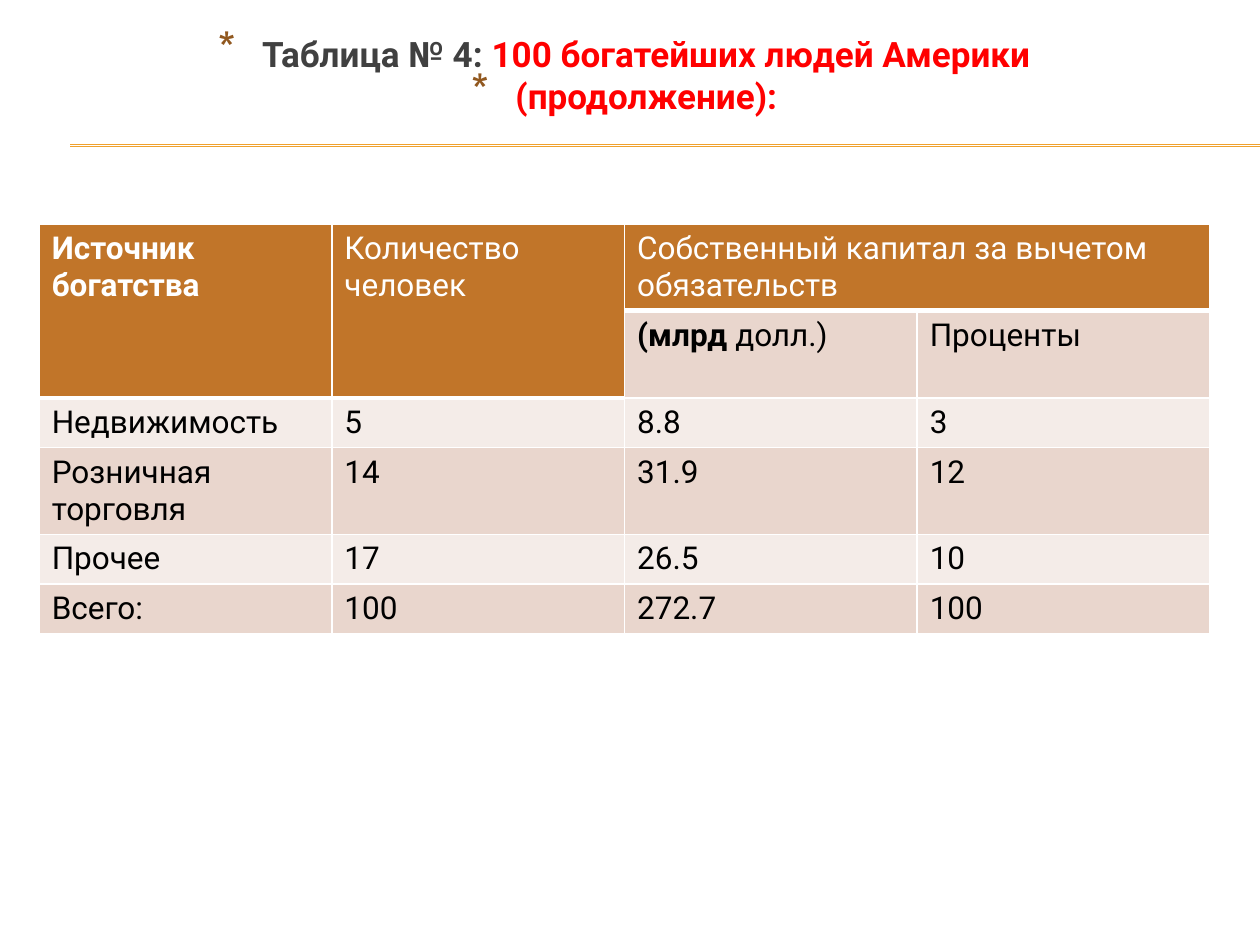
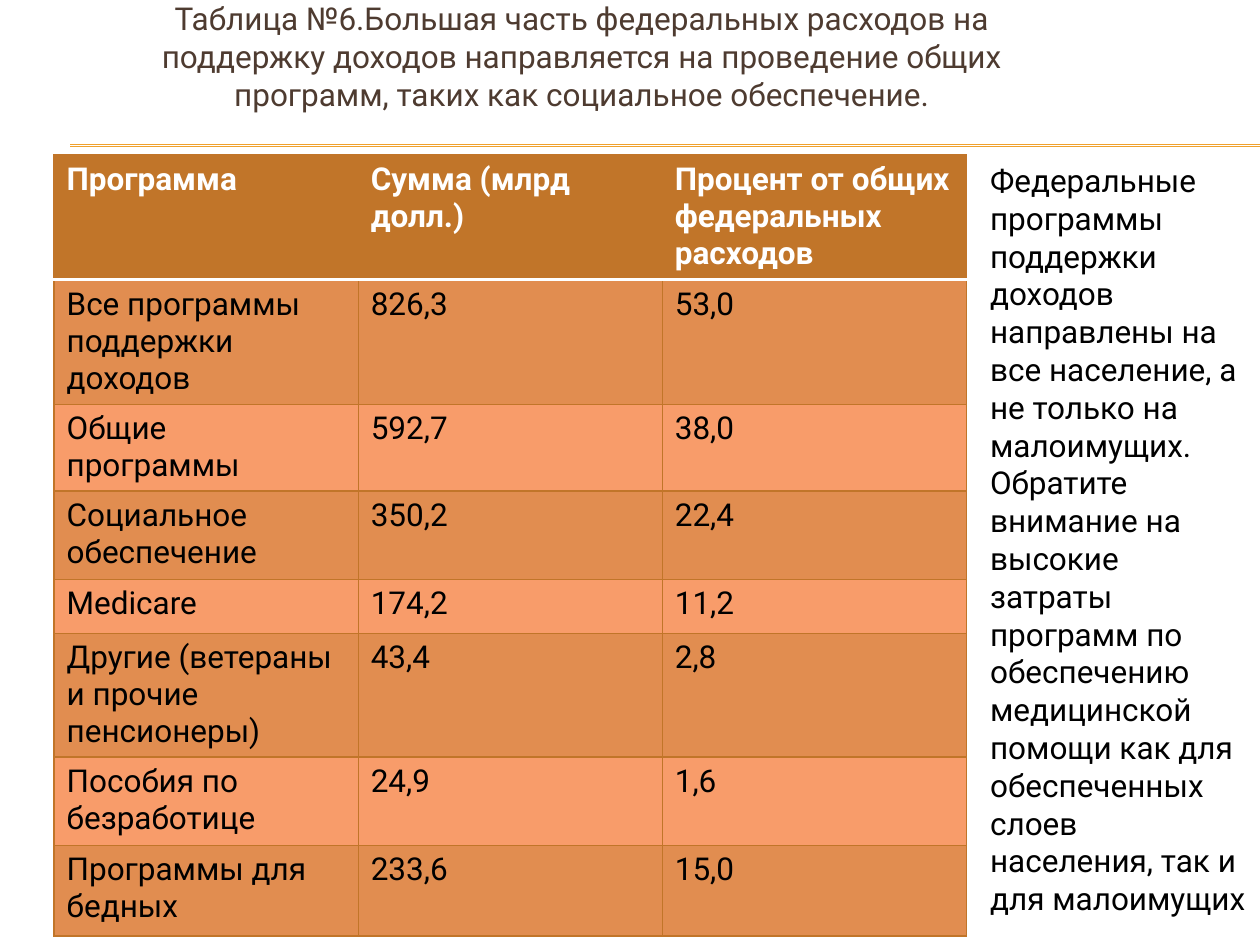
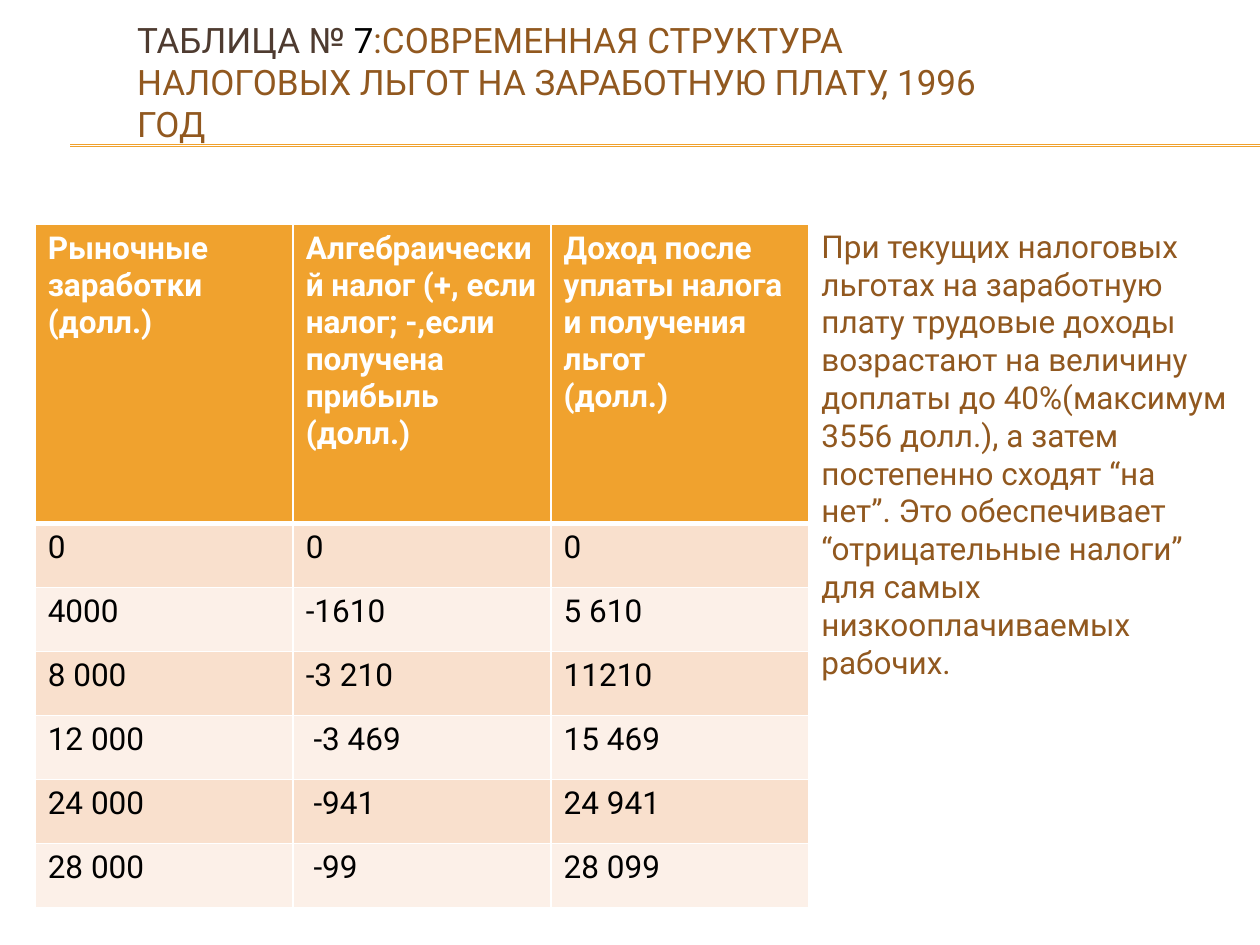
from lxml import etree
from pptx import Presentation
from pptx.dml.color import RGBColor
from pptx.enum import shapes, text
from pptx.oxml import ns
from pptx.util import Cm, Pt

FONT = "Roboto"
BLACK = RGBColor(0x00, 0x00, 0x00)
WHITE = RGBColor(0xFF, 0xFF, 0xFF)
RED = RGBColor(0xFF, 0x00, 0x00)
GRAY = RGBColor(0x40, 0x40, 0x40)
DARK_BROWN = RGBColor(0x4E, 0x3B, 0x30)
BROWN = RGBColor(0x91, 0x58, 0x1F)
COPPER = RGBColor(0xC1, 0x75, 0x29)
AMBER = RGBColor(0xF0, 0xA2, 0x2E)
ROSE_BANDS = (RGBColor(0xE9, 0xD6, 0xCD), RGBColor(0xF4, 0xEC, 0xE8))
ORANGE_BANDS = (RGBColor(0xE1, 0x8D, 0x50), RGBColor(0xF8, 0x9C, 0x6A))
PEACH_BANDS = (RGBColor(0xF9, 0xE0, 0xCD), RGBColor(0xFC, 0xF0, 0xE8))

WEALTH = [
    ["Источник богатства", "Количество человек",
     "Собственный капитал за вычетом обязательств", ""],
    ["", "", [("(млрд ", {"bold": True}), ("долл.)", {})], "Проценты"],
    ["Недвижимость", "5", "8.8", "3"],
    ["Розничная торговля", "14", "31.9", "12"],
    ["Прочее", "17", "26.5", "10"],
    ["Всего:", "100", "272.7", "100"],
]
PROGRAMS = [
    ["Программа", "Сумма (млрд долл.)", "Процент от общих федеральных расходов"],
    ["Все программы поддержки доходов", "826,3", "53,0"],
    ["Общие программы", "592,7", "38,0"],
    ["Социальное обеспечение", "350,2", "22,4"],
    ["Medicare", "174,2", "11,2"],
    ["Другие (ветераны и прочие пенсионеры)", "43,4", "2,8"],
    ["Пособия по безработице", "24,9", "1,6"],
    ["Программы для бедных", "233,6", "15,0"],
]
TAXES = [
    ["Рыночные заработки\n(долл.)",
     "Алгебраический налог (+, если налог; -,если получена прибыль\n(долл.)",
     "Доход после уплаты налога и получения льгот\n(долл.)"],
    ["0", "0", "0"],
    ["4000", "-1610", "5 610"],
    ["8 000", "-3 210", "11210"],
    ["12 000", " -3 469", "15 469"],
    ["24 000", " -941", "24 941"],
    ["28 000", " -99", "28 099"],
]


def add_run(p, content, size=18, color=BLACK, bold=False):
    r = p.add_run()
    r.text = content
    r.font.name = FONT
    r.font.size = Pt(size)
    r.font.bold = bold
    r.font.color.rgb = color


def write(tf, paragraphs, align=text.PP_ALIGN.LEFT, **fmt):
    for i, runs in enumerate(paragraphs):
        p = tf.add_paragraph() if i else tf.paragraphs[0]
        p.alignment = align
        for content, own in runs:
            add_run(p, content, **{**fmt, **own})


def add_bullet(p):
    pPr = p._p.get_or_add_pPr()
    pPr.set("marL", str(Cm(0.89)))
    pPr.set("indent", str(Cm(-0.89)))
    color = etree.SubElement(pPr, ns.qn("a:buClr"))
    etree.SubElement(color, ns.qn("a:srgbClr"), val=str(BROWN))
    etree.SubElement(pPr, ns.qn("a:buSzPct"), val="128000")
    etree.SubElement(pPr, ns.qn("a:buChar"), char="*")


def add_rules(s):
    for y in (2.92, 2.95):
        line = s.shapes.add_connector(
            shapes.MSO_CONNECTOR.STRAIGHT, Cm(1.42), Cm(y), Cm(25.4), Cm(y))
        line.line.color.rgb = AMBER
        line.line.width = Pt(0.75)
        etree.SubElement(line._element.spPr, ns.qn("a:effectLst"))


def add_slide(prs, box, paragraphs, anchor=text.MSO_ANCHOR.MIDDLE, **fmt):
    s = prs.slides.add_slide(prs.slide_layouts[5])
    add_rules(s)
    title = s.shapes.title
    title.left, title.top, title.width, title.height = map(Cm, box)
    tf = title.text_frame
    tf.word_wrap = True
    tf.auto_size = text.MSO_AUTO_SIZE.NONE
    tf.vertical_anchor = anchor
    write(tf, paragraphs, **fmt)
    return s


def add_note(s, box, content, color):
    tf = s.shapes.add_textbox(*map(Cm, box)).text_frame
    tf.word_wrap = True
    write(tf, [[(content, {})]], color=color)


def set_borders(cell, **borders):
    tcPr = cell._tc.get_or_add_tcPr()
    for i, side in enumerate("LRTB"):
        color, width = borders[side]
        ln = etree.Element(ns.qn(f"a:ln{side}"), w=str(Pt(width)))
        fill = etree.SubElement(ln, ns.qn("a:solidFill"))
        etree.SubElement(fill, ns.qn("a:srgbClr"), val=str(color))
        tcPr.insert(i, ln)


def add_table(s, left, top, width, heights, rows, header, bands,
              depths=None, bold_columns=None, grid=(WHITE, 1), rule=(WHITE, 3)):
    n = len(rows[0])
    depths = depths or [1] * n
    bold_columns = range(n) if bold_columns is None else bold_columns
    table = s.shapes.add_table(len(rows), n, Cm(left), Cm(top),
                               Cm(width), Cm(sum(heights))).table
    for row, height in zip(table.rows, heights):
        row.height = Cm(height)
    for i, values in enumerate(rows):
        for j, value in enumerate(values):
            cell = table.cell(i, j)
            in_header = i < depths[j]
            cell.fill.solid()
            cell.fill.fore_color.rgb = header if in_header else bands[(i - 1) % 2]
            set_borders(cell, L=grid, R=grid,
                        T=rule if i == depths[j] else grid,
                        B=rule if in_header else grid)
            if value:
                paragraphs = ([[(line, {})] for line in value.split("\n")]
                              if isinstance(value, str) else [value])
                write(cell.text_frame, paragraphs,
                      color=WHITE if in_header else BLACK,
                      bold=in_header and j in bold_columns)
    return table


def add_wealth_slide(prs):
    s = add_slide(
        prs, (0.89, 0.53, 23.39, 2.59),
        [[("Таблица № 4: ", {"color": GRAY}), ("100 богатейших людей Америки", {})],
         [("(продолжение):", {})]],
        anchor=text.MSO_ANCHOR.TOP, align=text.PP_ALIGN.CENTER,
        size=20, color=RED, bold=True)
    for p in s.shapes.title.text_frame.paragraphs:
        add_bullet(p)
    table = add_table(s, 0.79, 4.52, 23.6, [1.72, 1.76, 0.99, 1.74, 0.99, 0.99],
                      WEALTH, COPPER, ROSE_BANDS,
                      depths=[2, 2, 1, 1], bold_columns=[0])
    for start, end in (((0, 0), (1, 0)), ((0, 1), (1, 1)), ((0, 2), (0, 3))):
        table.cell(*start).merge(table.cell(*end))


def add_programs_slide(prs):
    s = add_slide(
        prs, (2.69, 0, 18.08, 2.26),
        [[("Таблица №6.Большая часть федеральных расходов на поддержку доходов "
           "направляется на проведение общих программ, таких как социальное "
           "обеспечение.", {})]],
        align=text.PP_ALIGN.CENTER, color=DARK_BROWN)
    add_table(s, 1.09, 3.12, 18.39,
              [2.52, 2.51, 1.75, 1.78, 1.09, 2.48, 1.78, 1.83],
              PROGRAMS, COPPER, ORANGE_BANDS, grid=(COPPER, 0.79), rule=(WHITE, 2))
    add_note(s, (19.71, 3.12, 5.69, 14.88),
             "Федеральные программы поддержки доходов направлены на все население, "
             "а не только на малоимущих. Обратите внимание на высокие затраты "
             "программ по обеспечению медицинской помощи как для обеспеченных слоев "
             "населения, так и для малоимущих", BLACK)


def add_taxes_slide(prs):
    s = add_slide(
        prs, (2.51, 0.05, 18.08, 3.18),
        [[("ТАБЛИЦА № ", {"color": DARK_BROWN}), ("7", {"color": BLACK}),
          (":СОВРЕМЕННАЯ СТРУКТУРА НАЛОГОВЫХ ЛЬГОТ НА ЗАРАБОТНУЮ ПЛАТУ, 1996 ГОД",
           {})]],
        size=20, color=BROWN)
    add_table(s, 0.71, 4.52, 15.6, [6.03] + [1.29] * 6, TAXES, AMBER, PEACH_BANDS)
    add_note(s, (16.31, 4.45, 8.79, 7.95),
             "При текущих налоговых льготах на заработную плату трудовые доходы "
             "возрастают на величину доплаты до 40%(максимум 3556 долл.), а затем "
             "постепенно сходят “на нет”. Это обеспечивает “отрицательные налоги” "
             "для самых низкооплачиваемых рабочих.", BROWN)


def main():
    prs = Presentation()
    prs.slide_width, prs.slide_height = Cm(25.4), Cm(19.05)
    add_wealth_slide(prs)
    add_programs_slide(prs)
    add_taxes_slide(prs)
    prs.save("out.pptx")


if __name__ == "__main__":
    main()
